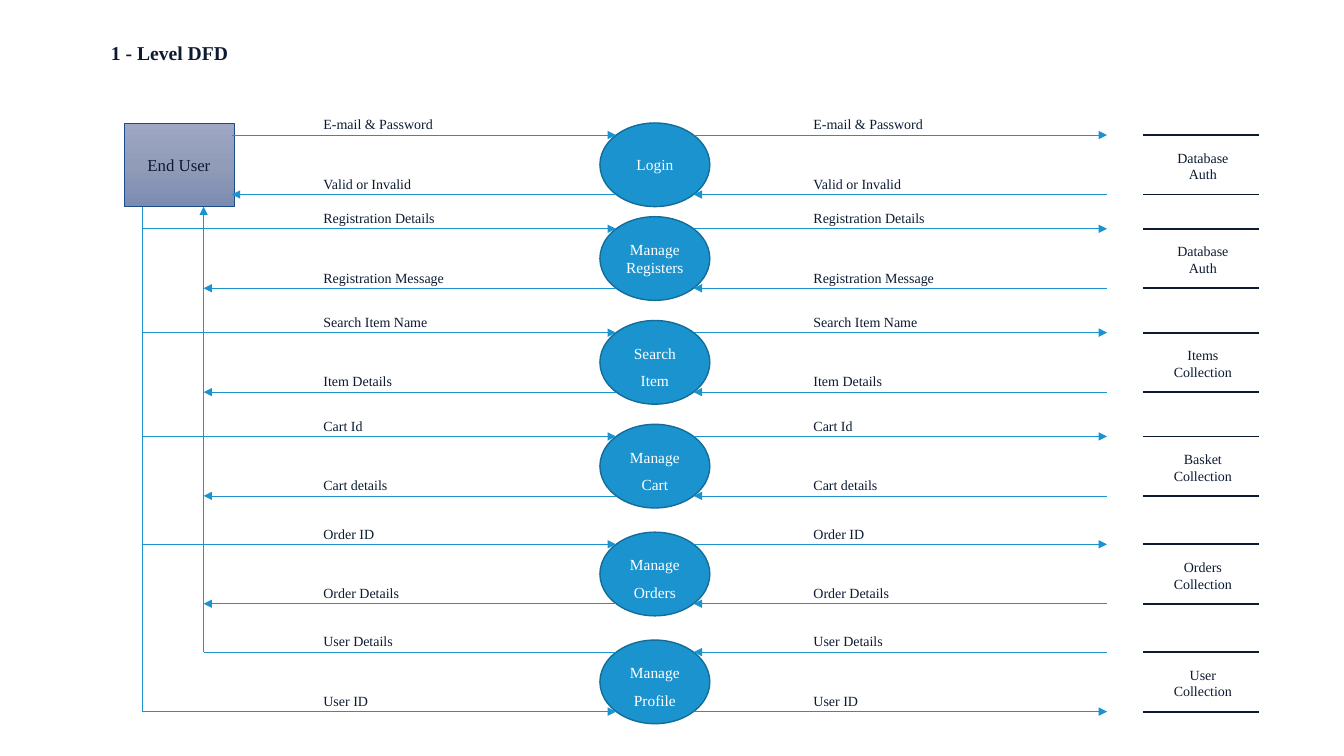
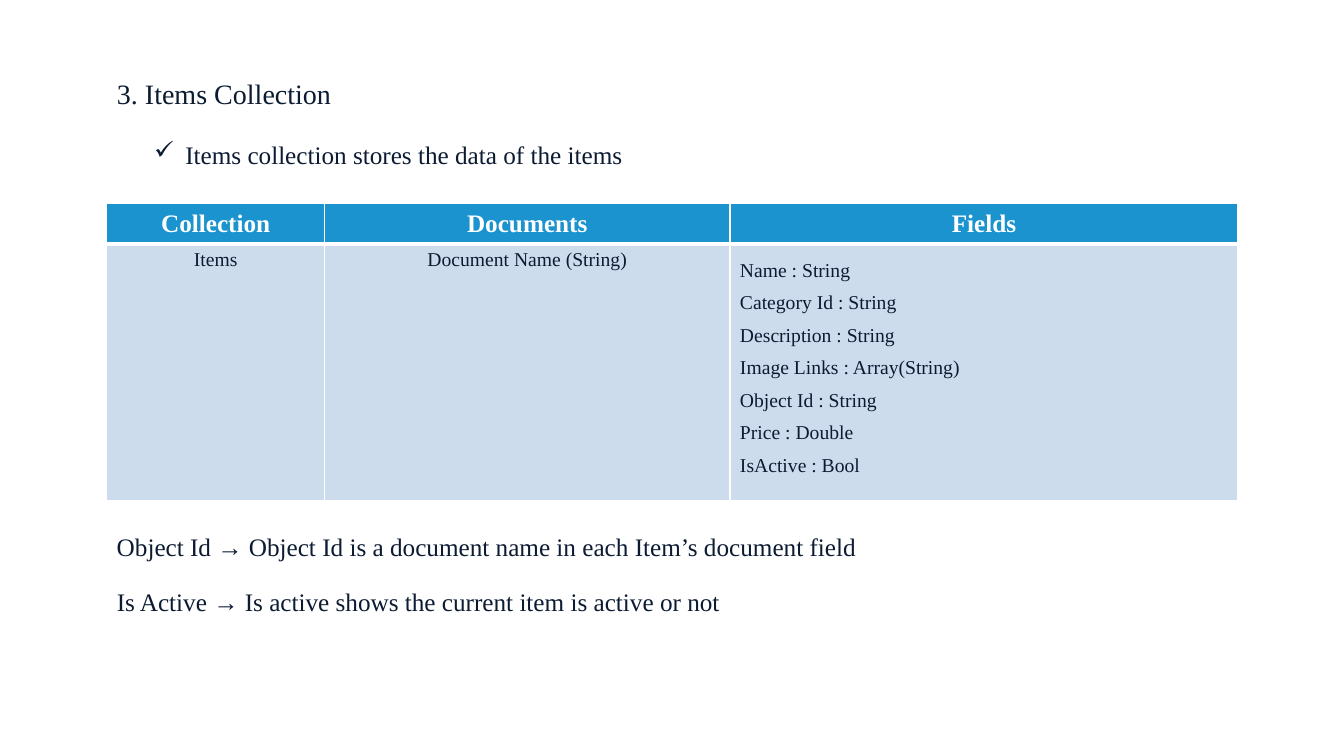
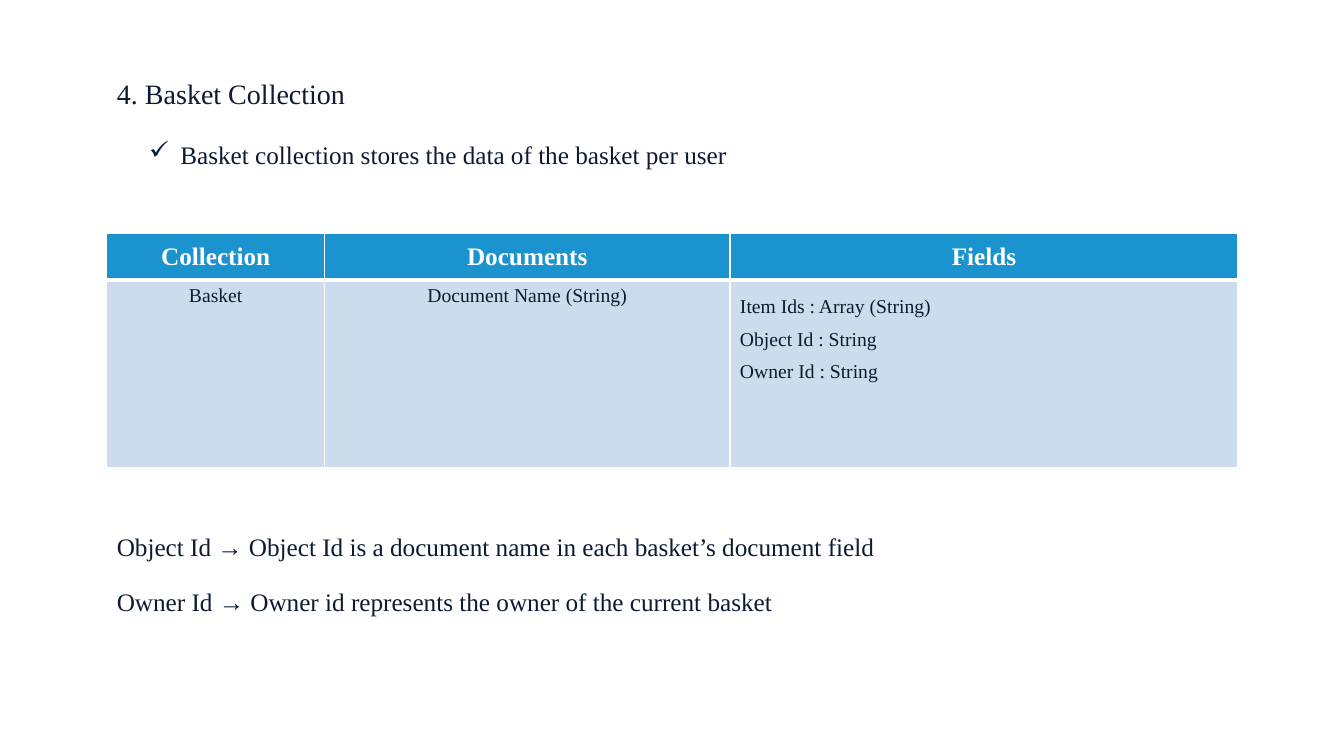
from collections import namedtuple
from dataclasses import dataclass

from pptx import Presentation
from pptx.dml.color import RGBColor
from pptx.enum.shapes import MSO_CONNECTOR, MSO_SHAPE
from pptx.enum.text import MSO_ANCHOR as Anchor, MSO_AUTO_SIZE as AutoSize, PP_ALIGN as Align
from pptx.oxml import parse_xml
from pptx.oxml.ns import nsdecls, qn
from pptx.util import Inches, Pt

Box = namedtuple("Box", "left top width height")
Process = namedtuple("Process", "name top upper lower store spacing")


@dataclass(frozen=True)
class Theme:
    font: str = "Times New Roman"
    ink: str = "0C1B32"
    white: str = "FFFFFF"
    accent: str = "1A93CE"
    accent_edge: str = "136D98"
    user_edge: str = "194E8A"
    user_fill: tuple = ("9EA8C4", "919CB8", "7D8BB1")
    cell: str = "CDDCED"
    heading: int = 20
    body: int = 18
    small: int = 14
    user: int = 12
    process: int = 11
    label: int = 10
    flow_line: float = 0.5
    store_line: float = 1.25


@dataclass(frozen=True)
class Columns:
    """Vertical guides of the data flow diagram, in inches."""
    request_rail: float = 1.41
    reply_rail: float = 2.02
    user_edge: float = 2.3
    user_label: float = 3.11
    process: float = 5.95
    process_in: float = 6.11
    process_out: float = 6.88
    store_label: float = 7.97
    store_edge: float = 10.98
    store: float = 11.34


THEME, COL = Theme(), Columns()
SLIDE_W, SLIDE_H = 13.33, 7.5
NODE_W, NODE_H = 1.09, 0.83
UPPER, LOWER = 0.12, 0.71  # flow lines below the top of their row
LABEL_RISE = 0.24
STORE_W = 1.15

PROCESSES = [
    Process("Login", 1.22, "E-mail & Password", "Valid or Invalid", "Database\nAuth", 1),
    Process("Manage\nRegisters", 2.15, "Registration Details", "Registration Message",
            "Database\nAuth", 1),
    Process("Search Item", 3.18, "Search Item Name", "Item Details", "Items\nCollection", 1.5),
    Process("Manage Cart", 4.21, "Cart Id", "Cart details", "Basket\nCollection", 1.5),
    Process("Manage Orders", 5.28, "Order ID", "Order Details", "Orders\nCollection", 1.5),
    Process("Manage Profile", 6.35, "User Details", "User ID", "User\nCollection", 1.5),
]


# Shared helpers
def rgb(value):
    return RGBColor.from_string(value)


def inches(box):
    return [Inches(length) for length in box]


def write(frame, text, size, color=THEME.ink, bold=False, align=Align.LEFT, spacing=None):
    frame.text = text
    for paragraph in frame.paragraphs:
        paragraph.alignment = align
        if spacing:
            paragraph.line_spacing = spacing
        for run in paragraph.runs:
            font = run.font
            font.name, font.size, font.bold = THEME.font, Pt(size), bold
            font.color.rgb = rgb(color)


def add_text(slide, box, text, size, wrap=True, **style):
    frame = slide.shapes.add_textbox(*inches(box)).text_frame
    frame.word_wrap = wrap
    frame.auto_size = AutoSize.SHAPE_TO_FIT_TEXT
    write(frame, text, size, **style)
    return frame


def add_title(slide, box, text, size, bold=False):
    title = slide.shapes.title
    title.left, title.top, title.width, title.height = inches(box)
    frame = title.text_frame
    frame.word_wrap = False
    frame.auto_size = AutoSize.SHAPE_TO_FIT_TEXT
    frame.vertical_anchor = Anchor.TOP
    write(frame, text, size, bold=bold)


def add_line(slide, start, end, color, width, arrow=False):
    line = slide.shapes.add_connector(
        MSO_CONNECTOR.STRAIGHT, *inches(start), *inches(end))
    line.line.color.rgb = rgb(color)
    line.line.width = Pt(width)
    properties = line.element.spPr
    if arrow:
        properties.find(qn("a:ln")).append(
            parse_xml(f'<a:tailEnd {nsdecls("a")} type="triangle"/>'))
    properties.append(parse_xml(f'<a:effectLst {nsdecls("a")}/>'))


def add_node(slide, kind, box, text, size, color, edge, edge_width, spacing=None):
    node = slide.shapes.add_shape(kind, *inches(box))
    node.shadow.inherit = False
    node.line.color.rgb = rgb(edge)
    node.line.width = Pt(edge_width)
    frame = node.text_frame
    frame.word_wrap = True
    frame.vertical_anchor = Anchor.MIDDLE
    write(frame, text, size, color=color, align=Align.CENTER, spacing=spacing)
    return node


# Data flow diagram
def add_user(slide, box):
    user = add_node(slide, MSO_SHAPE.RECTANGLE, box, "End User", THEME.user,
                    THEME.ink, THEME.user_edge, THEME.flow_line)
    stops = "".join(f'<a:gs pos="{i * 50000}"><a:srgbClr val="{color}"/></a:gs>'
                    for i, color in enumerate(THEME.user_fill))
    user.element.spPr.find(qn("a:prstGeom")).addnext(parse_xml(
        f'<a:gradFill {nsdecls("a")} rotWithShape="1"><a:gsLst>{stops}</a:gsLst>'
        '<a:lin ang="5400000" scaled="0"/></a:gradFill>'))


def add_flow(slide, text, y, user_x, is_request, reaches_user=True):
    """One exchange: a line on each side of the process, each with its label."""
    sides = [(user_x, COL.process_in, COL.user_label, is_request or reaches_user),
             (COL.process_out, COL.store_edge, COL.store_label, True)]
    for left, right, label_x, arrow in sides:
        start, end = (left, right) if is_request else (right, left)
        add_line(slide, (start, y), (end, y), THEME.accent, THEME.flow_line, arrow)
        add_text(slide, Box(label_x, y - LABEL_RISE, 1.5, 0.28), text, THEME.label)


def add_store(slide, box, text):
    for y in (box.top, box.top + box.height):
        add_line(slide, (box.left, y), (box.left + box.width, y),
                 THEME.ink, THEME.store_line)
    add_text(slide, Box(box.left + 0.03, box.top + 0.09, 1.12, 0.44), text,
             THEME.label, align=Align.CENTER)


def add_process_row(slide, process, is_first, is_last):
    ellipse = add_node(slide, MSO_SHAPE.OVAL, Box(COL.process, process.top, NODE_W, NODE_H),
                       process.name, THEME.process, THEME.white, THEME.accent_edge, 1,
                       process.spacing)
    ellipse.fill.solid()
    ellipse.fill.fore_color.rgb = rgb(THEME.accent)
    # The last row answers on its upper line and asks on its lower one
    flows = [(process.upper, UPPER, not is_last), (process.lower, LOWER, is_last)]
    for text, offset, is_request in flows:
        rail = COL.request_rail if is_request else COL.reply_rail
        add_flow(slide, text, process.top + offset, COL.user_edge if is_first else rail,
                 is_request, reaches_user=not is_last)
    add_store(slide, Box(COL.store, process.top + UPPER, STORE_W, LOWER - UPPER),
              process.store)


def build_diagram(slide):
    add_title(slide, Box(1, 0.36, 1.37, 0.34), "1 - Level DFD", THEME.small, bold=True)
    first, last = PROCESSES[0], PROCESSES[-1]
    add_user(slide, Box(1.23, first.top, NODE_W, NODE_H))
    for process in PROCESSES:
        add_process_row(slide, process, process is first, process is last)
    # Rails between the user and the rows below
    user_bottom = first.top + NODE_H
    add_line(slide, (COL.request_rail, user_bottom), (COL.request_rail, last.top + LOWER),
             THEME.accent, THEME.flow_line)
    add_line(slide, (COL.reply_rail, last.top + UPPER), (COL.reply_rail, user_bottom),
             THEME.accent, THEME.flow_line, arrow=True)


# Collection slides
def add_cell_borders(cell, top, bottom):
    properties = cell._tc.get_or_add_tcPr()
    widths = {"lnL": 1, "lnR": 1, "lnT": top, "lnB": bottom}
    for index, (side, width) in enumerate(widths.items()):
        properties.insert(index, parse_xml(
            f'<a:{side} {nsdecls("a")} w="{Pt(width)}"><a:solidFill>'
            f'<a:srgbClr val="{THEME.white}"/></a:solidFill></a:{side}>'))


def add_collection_table(slide, box, heights, name, fields):
    rows = [["Collection", "Documents", "Fields"],
            [name, "Document Name (String)", "\n".join(fields)]]
    table = slide.shapes.add_table(2, 3, *inches(box)).table
    for column, width in zip(table.columns, (2.16, 4.02, 5.04)):
        column.width = Inches(width)
    for r, texts in enumerate(rows):
        table.rows[r].height = Inches(heights[r])
        is_header = r == 0
        for c, text in enumerate(texts):
            cell = table.cell(r, c)
            cell.fill.solid()
            cell.fill.fore_color.rgb = rgb(THEME.accent if is_header else THEME.cell)
            add_cell_borders(cell, 1 if is_header else 3, 3 if is_header else 1)
            if is_header:
                cell.vertical_anchor = Anchor.MIDDLE
                write(cell.text_frame, text, THEME.body, THEME.white, True, Align.CENTER)
            elif c < 2:
                write(cell.text_frame, text, THEME.small, align=Align.CENTER)
            else:
                write(cell.text_frame, text, THEME.small, spacing=1.5)


def add_check_line(slide, box, text):
    frame = add_text(slide, box, text, THEME.body, wrap=False)
    properties = frame.paragraphs[0]._p.get_or_add_pPr()
    indent = Inches(0.31)
    properties.set("marL", str(indent))
    properties.set("indent", str(-indent))
    properties.append(parse_xml(f'<a:buChar {nsdecls("a")} char="✓"/>'))


def build_collection(slide, title, title_width, summary, summary_left, summary_width,
                     name, fields, table_top, heights, notes):
    left = 1.06
    add_title(slide, Box(left, 0.71, title_width, 0.44), title, THEME.heading)
    add_check_line(slide, Box(summary_left, 1.33, summary_width, 0.4), summary)
    add_collection_table(slide, Box(left, table_top, 11.22, sum(heights)), heights,
                         name, fields)
    for i, (note, width) in enumerate(notes):
        add_text(slide, Box(left, 5.22 + 0.55 * i, width, 0.4), note, THEME.body, wrap=False)


COLLECTIONS = [
    dict(title="3. Items Collection", title_width=2.34,
         summary="Items collection stores the data of the items",
         summary_left=1.43, summary_width=4.96, name="Items",
         fields=["Name : String", "Category Id : String", "Description : String",
                 "Image Links : Array(String)", "Object Id : String", "Price : Double",
                 "IsActive : Bool"],
         table_top=2.02, heights=(0.38, 2.35),
         notes=[("Object Id → Object Id is a document name in each Item’s document field", 7.67),
                ("Is Active → Is active shows the current item is active or not", 6.19)]),
    dict(title="4. Basket Collection", title_width=2.48,
         summary="Basket collection stores the data of the basket per user",
         summary_left=1.38, summary_width=5.99, name="Basket",
         fields=["Item Ids : Array (String)", "Object Id : String", "Owner Id : String"],
         table_top=2.32, heights=(0.46, 1.86),
         notes=[("Object Id → Object Id is a document name in each basket’s document field", 7.85),
                ("Owner Id → Owner id represents the owner of the current basket", 6.82)]),
]


def main():
    deck = Presentation()
    deck.slide_width, deck.slide_height = Inches(SLIDE_W), Inches(SLIDE_H)
    title_only = deck.slide_layouts[5]
    build_diagram(deck.slides.add_slide(title_only))
    for collection in COLLECTIONS:
        build_collection(deck.slides.add_slide(title_only), **collection)
    deck.save("out.pptx")


if __name__ == "__main__":
    main()
